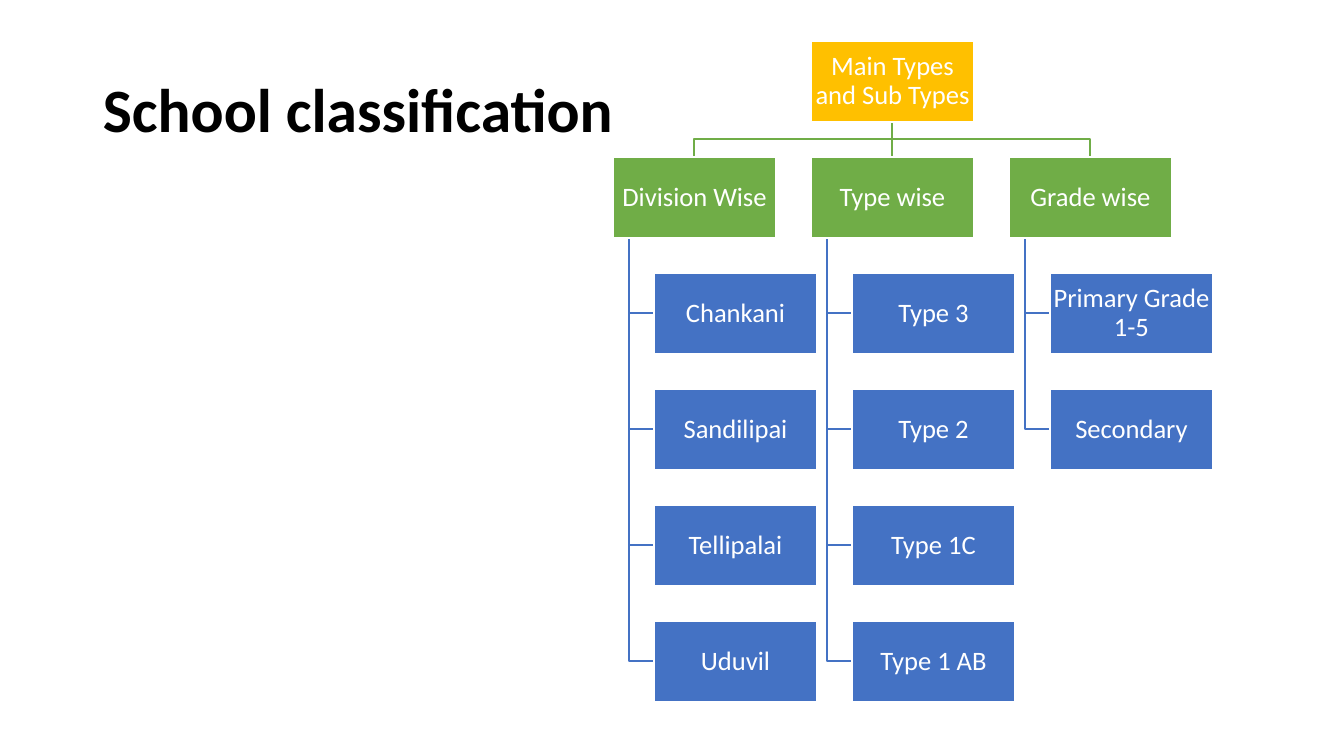
from dataclasses import dataclass

from lxml.etree import SubElement
from pptx import Presentation
from pptx.dml.color import RGBColor
from pptx.enum.shapes import MSO_CONNECTOR as Connector, MSO_SHAPE as Shape
from pptx.enum.text import MSO_ANCHOR as Anchor, PP_ALIGN as Align
from pptx.oxml.ns import qn
from pptx.util import Pt

EMU_PER_PIXEL = 914400 / 100.8


@dataclass(frozen=True)
class Theme:
    font: str = "Calibri"
    title_size: int = 44
    box_size: int = 19
    line_width: int = 1
    line_spacing: float = 0.9
    title: str = "000000"
    paper: str = "FFFFFF"
    root: str = "FFC000"
    branch: str = "70AD47"
    leaf: str = "4472C4"


THEME = Theme()
BRANCHES = [
    ("Division Wise", ["Chankani", "Sandilipai", "Tellipalai", "Uduvil"]),
    ("Type wise", ["Type 3", "Type 2", "Type 1C", "Type 1 AB"]),
    ("Grade wise", ["Primary Grade 1-5", "Secondary"]),
]

# Hierarchy measures
BOX_WIDTH, BOX_HEIGHT = 163, 81
COLUMN_PITCH, ROW_PITCH = 198, 116
LEAF_INDENT, SPINE_INDENT = 41, 16


def emu(*pixels):
    return [round(value * EMU_PER_PIXEL) for value in pixels]


def style_line(line, color):
    line.color.rgb = RGBColor.from_string(color)
    line.width = Pt(THEME.line_width)


def write(shape, text, size, color, bold=False, align=Align.LEFT):
    frame = shape.text_frame
    frame.word_wrap = True
    frame.vertical_anchor = Anchor.MIDDLE
    paragraph = frame.paragraphs[0]
    paragraph.text = text
    paragraph.alignment = align
    paragraph.line_spacing = THEME.line_spacing
    font = paragraph.font
    font.name, font.size, font.bold = THEME.font, Pt(size), bold
    font.color.rgb = RGBColor.from_string(color)
    return frame


def add_box(slide, left, top, text, color):
    shape = slide.shapes.add_shape(Shape.RECTANGLE, *emu(left, top, BOX_WIDTH, BOX_HEIGHT))
    shape.shadow.inherit = False
    shape.fill.solid()
    shape.fill.fore_color.rgb = RGBColor.from_string(color)
    style_line(shape.line, THEME.paper)
    frame = write(shape, text, THEME.box_size, THEME.paper, align=Align.CENTER)
    frame.margin_left = frame.margin_right = frame.margin_top = frame.margin_bottom = emu(1)[0]


def add_straight(slide, start, end, color):
    connector = slide.shapes.add_connector(Connector.STRAIGHT, *emu(*start, *end))
    SubElement(connector.element.spPr, qn("a:effectLst"))
    style_line(connector.line, color)


def add_elbow(slide, points, color):
    builder = slide.shapes.build_freeform(*points[0], scale=EMU_PER_PIXEL)
    builder.add_line_segments(points[1:], close=False)
    shape = builder.convert_to_shape()
    shape.shadow.inherit = False
    shape.fill.background()
    style_line(shape.line, color)


def add_title(slide, left, top, width, height):
    box = slide.shapes.add_textbox(*emu(left, top, width, height))
    write(box, "School classification", THEME.title_size, THEME.title, bold=True)


def add_branch(slide, left, top, name, leaves):
    spine = left + SPINE_INDENT
    leaf_left = left + LEAF_INDENT
    leaf_tops = [top + ROW_PITCH * row for row in range(1, len(leaves) + 1)]
    # Elbows from the branch to each leaf
    for leaf_top in leaf_tops:
        middle = leaf_top + BOX_HEIGHT // 2
        add_elbow(slide, [(spine, top + BOX_HEIGHT), (spine, middle), (leaf_left, middle)],
                  THEME.leaf)
    # Branch and leaf boxes
    add_box(slide, left, top, name, THEME.branch)
    for leaf, leaf_top in zip(leaves, leaf_tops):
        add_box(slide, leaf_left, leaf_top, leaf, THEME.leaf)


def add_hierarchy(slide, left, top):
    root_left = left + COLUMN_PITCH * (len(BRANCHES) - 1) // 2
    root_center, root_bottom = root_left + BOX_WIDTH // 2, top + BOX_HEIGHT
    branch_top = top + ROW_PITCH
    turn = (root_bottom + branch_top) // 2
    for column, (name, leaves) in enumerate(BRANCHES):
        branch_left = left + COLUMN_PITCH * column
        center = branch_left + BOX_WIDTH // 2
        start, end = (root_center, root_bottom), (center, branch_top)
        if center == root_center:
            add_straight(slide, start, end, THEME.branch)
        else:
            add_elbow(slide, [start, (root_center, turn), (center, turn), end], THEME.branch)
        add_branch(slide, branch_left, branch_top, name, leaves)
    add_box(slide, root_left, top, "Main Types and Sub Types", THEME.root)


presentation = Presentation()
presentation.slide_width, presentation.slide_height = emu(1344, 756)
slide = presentation.slides.add_slide(presentation.slide_layouts[6])
add_title(slide, 93, 40, 1159, 146)
add_hierarchy(slide, 613, 41)
presentation.save("out.pptx")
